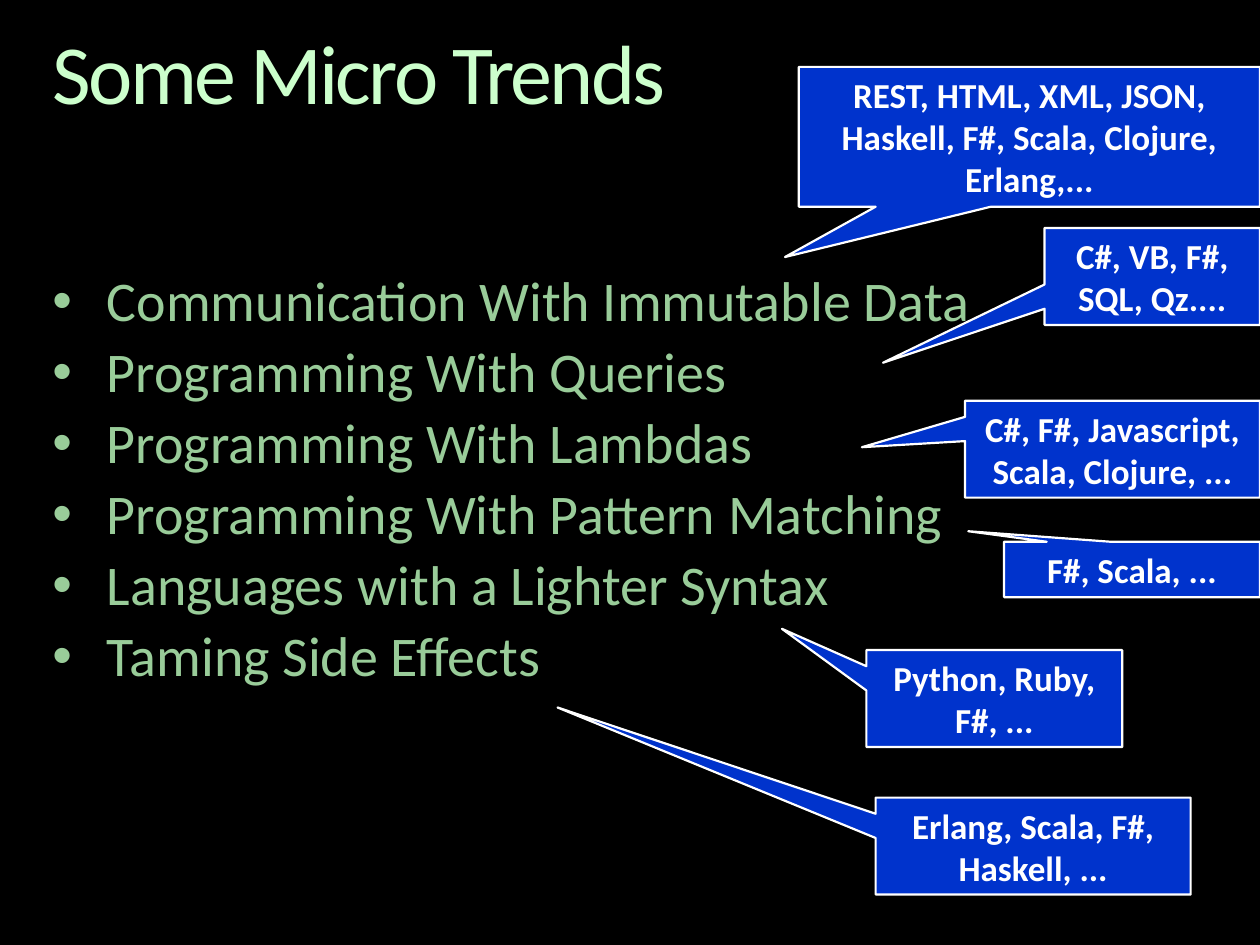
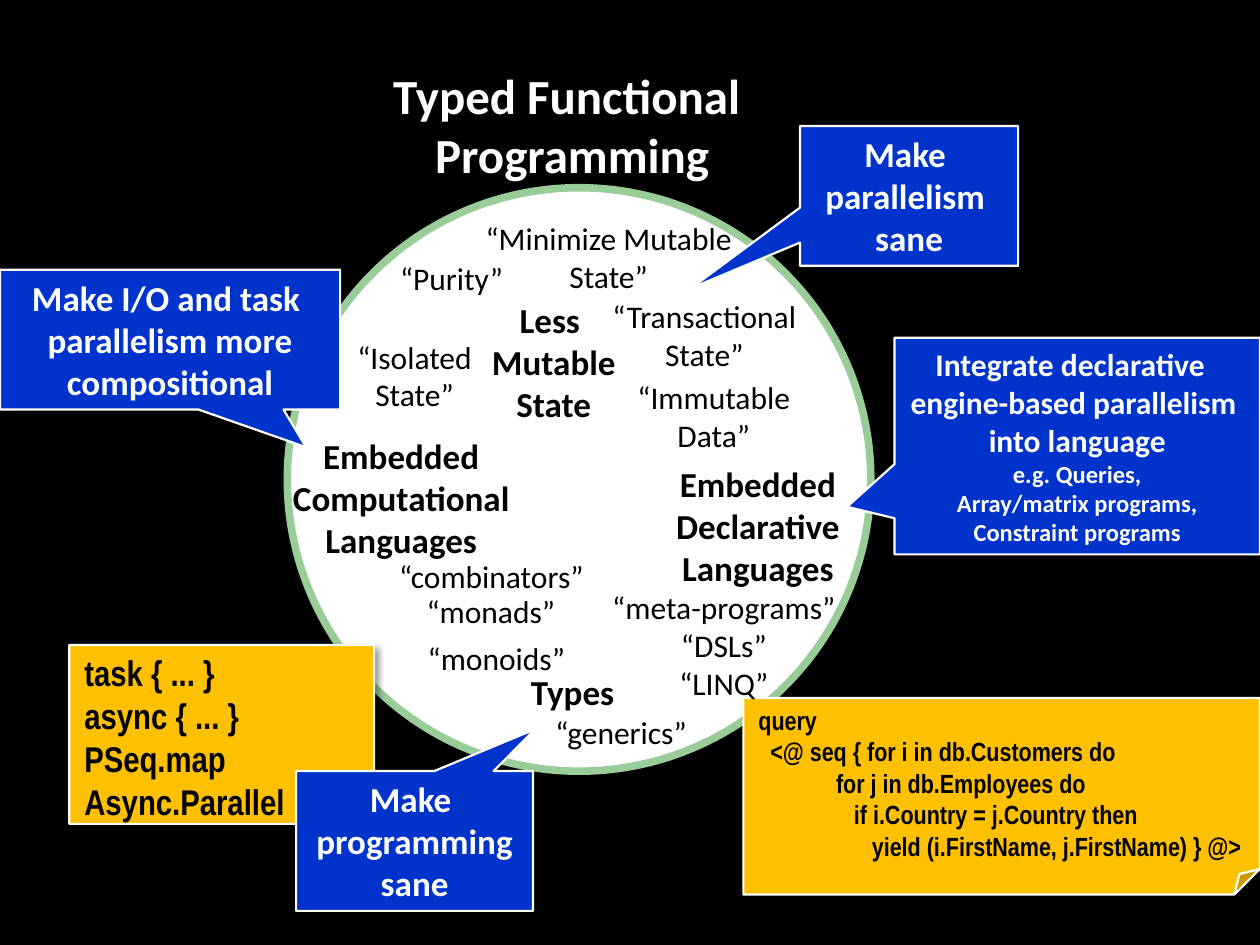
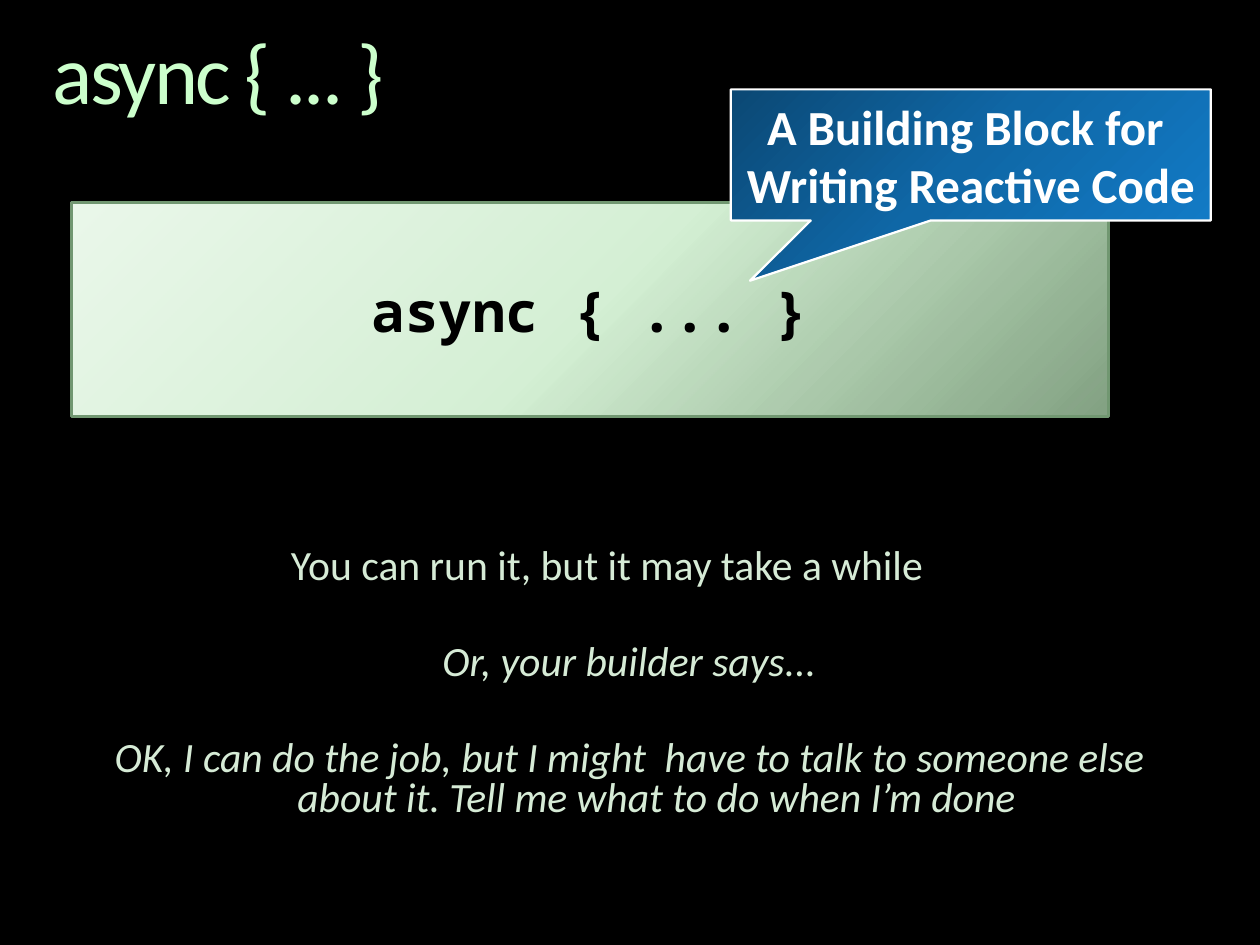
"""Build three slides on functional programming trends."""
from lxml.etree import SubElement
from pptx import Presentation
from pptx.dml.color import RGBColor
from pptx.enum.shapes import MSO_SHAPE
from pptx.enum.text import MSO_ANCHOR, PP_ALIGN
from pptx.oxml.ns import qn
from pptx.util import Pt

BLACK = RGBColor(0x00, 0x00, 0x00)
WHITE = RGBColor(0xFF, 0xFF, 0xFF)
BLUE = RGBColor(0x00, 0x33, 0xCC)
AMBER = RGBColor(0xFF, 0xC0, 0x00)
TITLE_GREEN = RGBColor(0xCC, 0xFF, 0xCC)
BODY_GREEN = RGBColor(0x99, 0xCC, 0x99)
PALE_GREEN = RGBColor(0xD6, 0xEB, 0xD6)
EDGE_GREEN = RGBColor(0x71, 0x97, 0x71)
GREEN_STOPS = (RGBColor(0xBB, 0xE7, 0xBB), RGBColor(0xD4, 0xEF, 0xD4), RGBColor(0xEA, 0xF7, 0xEA))
BLUE_STOPS = (RGBColor(0x0B, 0x48, 0x74), RGBColor(0x0F, 0x67, 0xA6), RGBColor(0x12, 0x7A, 0xC5))


def write_lines(frame, lines, size, color, font="Calibri", bold=False,
                align=PP_ALIGN.CENTER, spacing=None):
    """Write one styled paragraph per line."""
    for index, line in enumerate(lines):
        para = frame.add_paragraph() if index else frame.paragraphs[0]
        para.alignment = align
        if spacing:
            para.line_spacing = spacing
        span = para.add_run()
        span.text = line
        span.font.name = font
        span.font.size = Pt(size)
        span.font.bold = bold
        span.font.color.rgb = color


def add_block(page, kind, place, fill, line, weight=1.25, adjustments=()):
    """Add a filled, outlined shape without a theme shadow."""
    block = page.shapes.add_shape(kind, *map(Pt, place))
    block.shadow.inherit = False
    block.fill.solid()
    block.fill.fore_color.rgb = fill
    block.line.color.rgb = line
    block.line.width = Pt(weight)
    for index, value in enumerate(adjustments):
        block.adjustments[index] = value
    block.text_frame.word_wrap = True
    block.text_frame.vertical_anchor = MSO_ANCHOR.MIDDLE
    return block


deck = Presentation()
deck.slide_width = Pt(720)
deck.slide_height = Pt(540)

pages = []
for title in ("Some Micro Trends", None, "async { ... }"):
    page = deck.slides.add_slide(deck.slide_layouts[6])
    page.background.fill.solid()
    page.background.fill.fore_color.rgb = BLACK
    pages.append(page)
    if title:
        frame = page.shapes.add_textbox(Pt(30), Pt(18), Pt(660), Pt(52.7)).text_frame
        frame.word_wrap = True
        frame.margin_left = frame.margin_right = frame.margin_top = frame.margin_bottom = 0
        write_lines(frame, [title], 48, TITLE_GREEN, align=PP_ALIGN.LEFT, spacing=0.9)
        frame.paragraphs[0].runs[0].font._element.set("spc", "-150")
trends_page, map_page, async_page = pages

bodies = []
for page, place, top_margin in (
    (trends_page, (30, 111.6, 660, 359.3), 44.5),
    (async_page, (22.3, 275.8, 633.6, 206.6), 37.5),
):
    frame = page.shapes.add_textbox(*map(Pt, place)).text_frame
    frame.word_wrap = True
    frame.margin_left = frame.margin_right = frame.margin_bottom = 0
    frame.margin_top = Pt(top_margin)
    bodies.append(frame)
trends_frame, story_frame = bodies

trends = [
    "Communication With Immutable Data",
    "Programming With Queries",
    "Programming With Lambdas",
    "Programming With Pattern Matching",
    "Languages with a Lighter Syntax",
    "Taming Side Effects",
]
write_lines(trends_frame, trends, 32, BODY_GREEN, align=PP_ALIGN.LEFT, spacing=0.9)
for index, para in enumerate(trends_frame.paragraphs):
    para.space_before = Pt(6 if index else 0)
    properties = para._p.get_or_add_pPr()
    properties.set("marL", str(Pt(31)))
    properties.set("indent", str(Pt(-31)))
    SubElement(properties, qn("a:buFont"), typeface="Arial")
    SubElement(properties, qn("a:buChar"), char="•")

story = [
    "You can run it, but it may take a while",
    "Or, your builder says...",
    "OK, I can do the job, but I might  have to talk to someone else about it. "
    "Tell me what to do when I’m done",
]
write_lines(story_frame, story, 23.8, PALE_GREEN, spacing=0.8)
for index, para in enumerate(story_frame.paragraphs):
    para.space_before = Pt(32.2 if index else 0)
    para.runs[0].font.italic = index > 0
    properties = para._p.get_or_add_pPr()
    properties.set("marL", str(Pt(72 if index else 144)))
    properties.set("indent", str(Pt(-31 if index else 0)))
story_frame.paragraphs[0].alignment = PP_ALIGN.LEFT

circle = add_block(map_page, MSO_SHAPE.OVAL, (164.2, 107.3, 333.4, 333.4), WHITE, BODY_GREEN, 4.33)

notes = [
    ((424.8, 398.9, 295.2, 112.3), 15, [
        "query",
        "  <@ seq { for i in db.Customers do",
        "             for j in db.Employees do",
        "                if i.Country = j.Country then",
        "                   yield (i.FirstName, j.FirstName) } @>",
    ]),
    ((39.6, 368.6, 174.2, 102.2), 20.4,
     ["task { ... }", "async { ... }", "PSeq.map", "Async.Parallel"]),
]
for place, size, lines in notes:
    note = add_block(map_page, MSO_SHAPE.FOLDED_CORNER, place, AMBER, WHITE)
    guides = note._element.spPr.find(qn("a:prstGeom")).get_or_add_avLst()
    SubElement(guides, qn("a:gd"), name="adj", fmla="val 13000")
    effects = note._element.spPr.find(qn("a:effectLst"))
    shadow = SubElement(effects, qn("a:outerShdw"), blurRad=str(Pt(4)), dist=str(Pt(3)),
                        dir="2700000", algn="tl", rotWithShape="0")
    shade = SubElement(shadow, qn("a:srgbClr"), val=str(BLACK))
    SubElement(shade, qn("a:alpha"), val="40000")
    frame = note.text_frame
    frame.word_wrap = False
    frame.vertical_anchor = MSO_ANCHOR.TOP
    frame.margin_left = frame.margin_right = Pt(8.6)
    write_lines(frame, lines, size, BLACK, "Arial Narrow", True, PP_ALIGN.LEFT)

idea_labels = [
    (221, 144.7, 74.2, ["“Purity”"]),
    (269.3, 121.7, 157, ["“Minimize Mutable", "State”"]),
    (196.6, 189.4, 80.6, ["“Isolated", "State”"]),
    (342.7, 166.3, 119.5, ["“Transactional", "State”"]),
    (356.4, 212.4, 103, ["“Immutable", "Data”"]),
    (236.2, 334.8, 88.6, ["“monads”"]),
    (236.9, 361.4, 93.6, ["“monoids”"]),
    (220.3, 314.6, 121, ["“combinators”"]),
    (342, 332.6, 143.3, ["“meta-programs”", "“DSLs”", "“LINQ”"]),
    (309.6, 403.9, 90.7, ["“generics”"]),
]
theme_labels = [
    (159.8, 244.8, 139, ["Embedded", "Computational", "Languages"]),
    (378.7, 260.6, 108.7, ["Embedded", "Declarative", "Languages"]),
    (273.6, 167, 85.7, ["Less ", "Mutable", "State"]),
    (295.9, 379.4, 62.6, ["Types"]),
]
heading_labels = [(216, 33.8, 221.8, ["Typed Functional ", "Programming"])]
for labels, size, color, bold in (
    (idea_labels, 18, BLACK, False),
    (theme_labels, 20, BLACK, True),
    (heading_labels, 28, WHITE, True),
):
    for left, top, width, lines in labels:
        height = 7.2 + 1.2 * size * len(lines)
        box = map_page.shapes.add_textbox(Pt(left), Pt(top), Pt(width), Pt(height))
        box.text_frame.word_wrap = False
        write_lines(box.text_frame, lines, size, color, bold=bold)

callouts = [
    (trends_page, (456.5, 38.2, 263.5, 79.9), (-0.53, 0.86), 20,
     ["REST, HTML, XML, JSON, Haskell, F#, Scala, Clojure, Erlang,..."]),
    (trends_page, (596.9, 130.3, 123.1, 55.4), (-1.25, 0.89), 20, ["C#, VB, F#, SQL, Qz...."]),
    (trends_page, (551.5, 229, 168.5, 55.4), (-0.85, -0.02), 20,
     ["C#, F#, Javascript, Scala, Clojure, ..."]),
    (trends_page, (573.8, 309.6, 146.2, 31.7), (-0.64, -0.69), 20, ["F#, Scala, ..."]),
    (trends_page, (495.1, 371.5, 146.2, 55.4), (-0.83, -0.72), 20, ["Python, Ruby, F#, ..."]),
    (trends_page, (500.4, 455.8, 180, 55.4), (-1.51, -1.43), 20,
     ["Erlang, Scala, F#, Haskell, ..."]),
    (map_page, (457.2, 72, 124.6, 79.9), (-1, 0.66), 20, ["Make ", "parallelism ", "sane"]),
    (map_page, (0, 154.1, 194.4, 79.9), (0.4, 0.77), 20,
     ["Make I/O and task ", "parallelism more", "compositional"]),
    (map_page, (169.2, 440.6, 135.4, 79.9), (0.51, -0.8), 20, ["Make ", "programming", "sane"]),
    (map_page, (511.2, 193, 208.8, 123.8), (-0.63, 0.28), 18, [
        "Integrate declarative  ", "engine-based parallelism ", "into language",
        "e.g. Queries,", "Array/matrix programs,", "Constraint programs",
    ]),
]
for page, place, pointer, size, lines in callouts:
    callout = add_block(page, MSO_SHAPE.RECTANGULAR_CALLOUT, place, BLUE, WHITE,
                        adjustments=pointer)
    write_lines(callout.text_frame, lines, size, WHITE, bold=True)
    for para in callout.text_frame.paragraphs[3:]:
        para.runs[0].font.size = Pt(14)

code_panel = add_block(async_page, MSO_SHAPE.RECTANGLE, (41, 115.9, 592.6, 122.4),
                       PALE_GREEN, EDGE_GREEN, 1.75)
write_lines(code_panel.text_frame, ["async { ... }"], 32, BLACK, "Noto Sans Mono", True)

banner = add_block(async_page, MSO_SHAPE.RECTANGULAR_CALLOUT, (417.6, 51.1, 274.3, 74.9),
                   BLUE, WHITE, adjustments=(-0.46, 0.96))
banner.text_frame.word_wrap = False
write_lines(banner.text_frame, ["A Building Block for ", "Writing Reactive Code"], 28, WHITE,
            bold=True)

for block, colors, angle, first_alpha in (
    (code_panel, GREEN_STOPS, 135, 69000),
    (banner, BLUE_STOPS, 315, 100000),
):
    block.fill.gradient()
    block.fill.gradient_angle = angle
    stops = block._element.spPr.find(qn("a:gradFill")).find(qn("a:gsLst"))
    for stop in list(stops):
        stops.remove(stop)
    for index, color in enumerate(colors):
        stop = SubElement(stops, qn("a:gs"), pos=str(index * 50000))
        shade = SubElement(stop, qn("a:srgbClr"), val=str(color))
        if index == 0:
            SubElement(shade, qn("a:alpha"), val=str(first_alpha))

deck.save("out.pptx")
